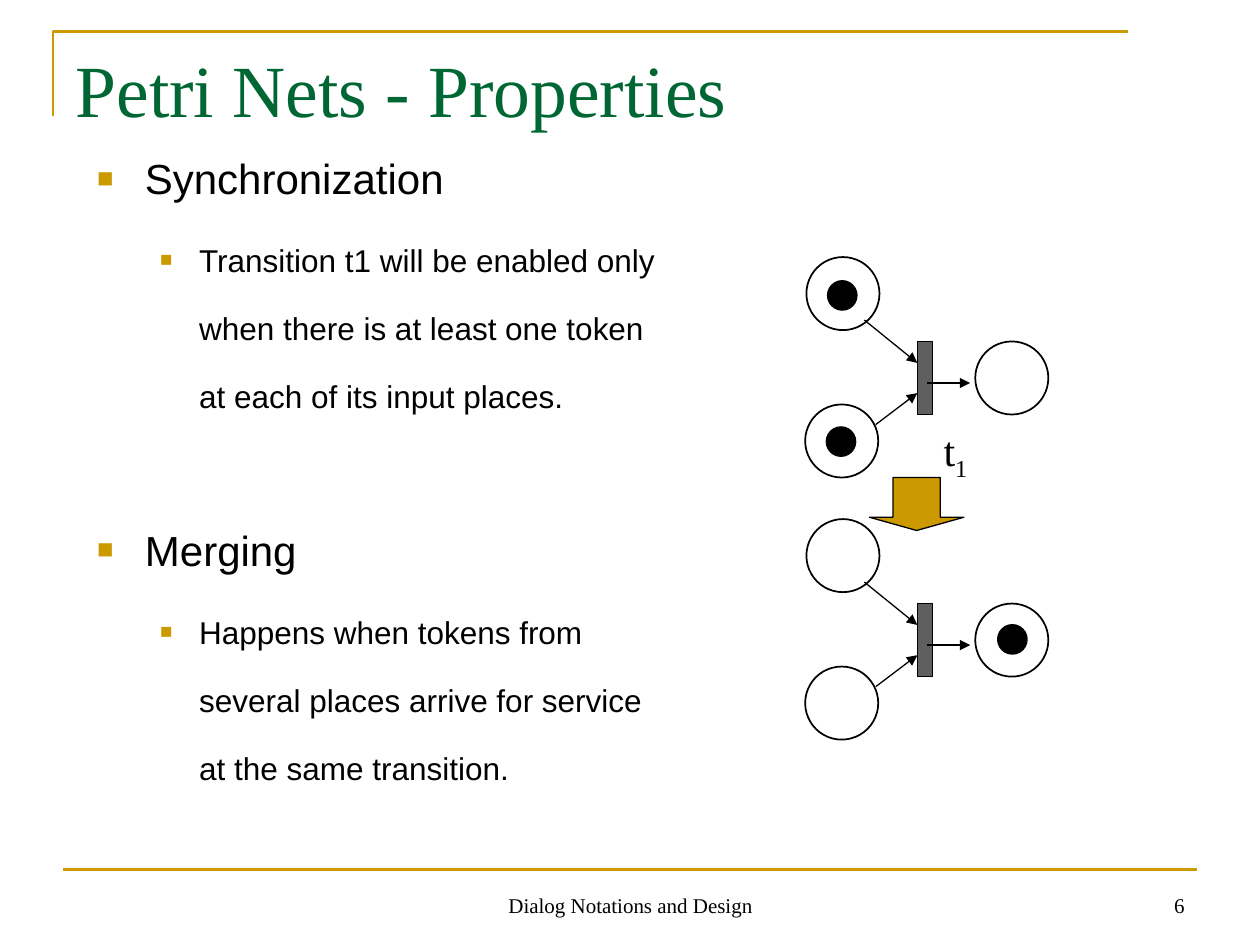
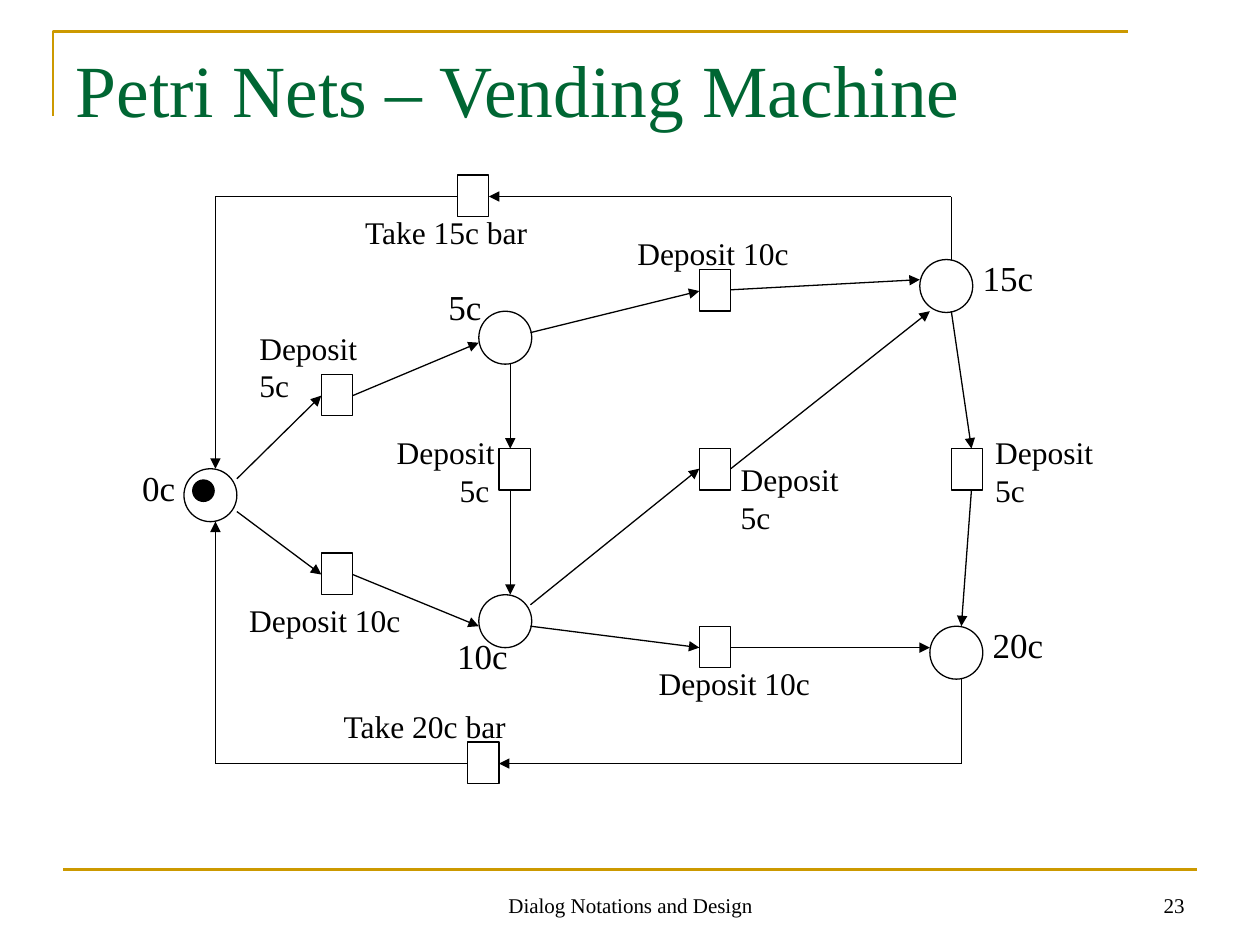
import pptx
import pptx.util
import pptx.dml.color
import pptx.enum.shapes
import pptx.enum.text
import pptx.oxml
import pptx.oxml.ns
from lxml import etree

# ---------- Shared look (all positions are in inches) ----------
GOLD, GREEN, BLACK, GREY = "CC9900", "006633", "000000", "5F5F5F"
SERIF, SANS = "Times New Roman", "Arial"
FOOTER = "Dialog Notations and Design"
SHAPES = pptx.enum.shapes.MSO_SHAPE
ALIGN = pptx.enum.text.PP_ALIGN
ANCHOR = pptx.enum.text.MSO_ANCHOR
TWO_CONTENT, TITLE_ONLY = 3, 5

# ---------- Slide 1: properties ----------
PROPERTIES = [
    ("Synchronization", "Transition t1 will be enabled only when there is "
     "at least one token at each of its input places."),
    ("Merging", "Happens when tokens from several places arrive for service "
     "at the same transition."),
]
PROPERTY_TOPS = [0.84, 3.79]
PLACE, TOKEN = 0.58, 0.23
NET_PLACES = [(6.4, 2.04), (6.39, 3.21), (7.74, 2.71)]
NET_ARROWS = [((6.86, 2.54), (7.28, 2.88)), ((6.95, 3.37), (7.28, 3.12)),
              ((7.36, 3.04), (7.7, 3.04))]
NET_BAR = (7.28, 2.71, 0.12, 0.58)
# vertical shift of each net, and the tokens it holds
NETS = [(0, [(6.57, 2.23), (6.56, 3.39)]), (2.08, [(7.92, 2.88)])]

# ---------- Slide 2: vending machine ----------
STATE = 0.42
STEP_WIDTH, STEP_HEIGHT = 0.25, 0.33
STATES = [(1.46, 3.72), (3.8, 2.47), (3.8, 4.72), (7.3, 2.06), (7.38, 4.97)]
STEPS = [(2.55, 2.97), (2.55, 4.39), (3.96, 3.56), (5.55, 2.14), (5.55, 3.56),
         (5.55, 4.97), (7.55, 3.56), (3.63, 1.39), (3.71, 5.89)]
MACHINE_ARROWS = [
    # from 0c
    ((1.88, 3.8), (2.55, 3.14)), ((2.8, 3.14), (3.8, 2.72)),
    ((1.88, 4.06), (2.55, 4.56)), ((2.8, 4.56), (3.8, 4.97)),
    # from 5c
    ((4.21, 2.64), (5.55, 2.31)), ((5.8, 2.3), (7.3, 2.22)),
    ((4.05, 2.89), (4.05, 3.56)), ((4.05, 3.89), (4.05, 4.72)),
    # from 10c
    ((4.21, 4.8), (5.55, 3.72)), ((5.8, 3.72), (7.38, 2.47)),
    ((4.21, 4.97), (5.55, 5.14)), ((5.8, 5.14), (7.38, 5.14)),
    # from 15c to 20c
    ((7.55, 2.47), (7.71, 3.56)), ((7.71, 3.89), (7.63, 4.97)),
    # back to 0c
    ((7.55, 1.56), (3.88, 1.56)), ((1.71, 1.56), (1.71, 3.72)),
    ((7.63, 6.06), (3.96, 6.06)), ((1.71, 6.06), (1.71, 4.14)),
]
MACHINE_LINES = [
    ((7.55, 2.06), (7.55, 1.56)), ((3.63, 1.56), (1.71, 1.56)),
    ((7.63, 5.39), (7.63, 6.06)), ((3.71, 6.06), (1.71, 6.06)),
]
STATE_LABELS = [("0c", 1.03, 3.65, 0.46), ("5c", 3.46, 2.22, 0.46),
                ("10c", 3.53, 4.99, 0.6), ("15c", 7.7, 1.99, 0.6),
                ("20c", 7.78, 4.9, 0.6)]
STEP_LABELS = [("Take 15c bar", 2.8, 1.64, 1.5), ("Take 20c bar", 2.63, 5.56, 1.5),
               ("Deposit 5c", 1.96, 2.56, 1.27), ("Deposit 10c", 1.88, 4.72, 1.4),
               ("Deposit 10c", 4.96, 1.81, 1.4), ("Deposit 10c", 5.13, 5.22, 1.4)]
# left, top and indent of the second line
TWO_LINE_LABELS = [(3.05, 3.39, 0.5), (5.78, 3.6, 0), (7.8, 3.39, 0)]


# ---------- Helpers ----------
def length(inches):
    return pptx.util.Cm(inches * 2.54)


def lengths(values):
    return [length(value) for value in values]


def color(value):
    return pptx.dml.color.RGBColor.from_string(value)


def add_run(paragraph, text, size, font=SERIF, text_color=BLACK):
    run = paragraph.add_run()
    run.text = text
    run.font.size = pptx.util.Pt(size)
    run.font.name = font
    run.font.color.rgb = color(text_color)
    return run


def add_text(slide, text, box, size, align=ALIGN.LEFT, anchor=ANCHOR.TOP, wrap=False):
    frame = slide.shapes.add_textbox(*lengths(box)).text_frame
    frame.word_wrap = wrap
    frame.vertical_anchor = anchor
    paragraph = frame.paragraphs[0]
    paragraph.alignment = align
    add_run(paragraph, text, size)
    return frame


def style_shape(shape, fill=None, line=BLACK, width=0.75):
    shape.shadow.inherit = False
    if fill:
        shape.fill.solid()
        shape.fill.fore_color.rgb = color(fill)
    else:
        shape.fill.background()
    shape.line.color.rgb = color(line)
    shape.line.width = pptx.util.Pt(width)


def add_shape(slide, kind, box, fill=None, width=0.75):
    shape = slide.shapes.add_shape(kind, *lengths(box))
    style_shape(shape, fill, width=width)
    return shape


def add_circle(slide, corner, size, fill=None, width=0.75):
    add_shape(slide, SHAPES.OVAL, (*corner, size, size), fill, width)


def add_line(slide, start, end, arrow=False, line=BLACK, width=0.75):
    connector = slide.shapes.add_connector(
        pptx.enum.shapes.MSO_CONNECTOR.STRAIGHT, *lengths((*start, *end)))
    connector.line.color.rgb = color(line)
    connector.line.width = pptx.util.Pt(width)
    if arrow:
        etree.SubElement(connector.line._get_or_add_ln(),
                         pptx.oxml.ns.qn("a:tailEnd"), type="triangle")
    etree.SubElement(connector._element.spPr, pptx.oxml.ns.qn("a:effectLst"))


def place(shape, box):
    shape.left, shape.top, shape.width, shape.height = lengths(box)
    frame = shape.text_frame
    frame.auto_size = pptx.enum.text.MSO_AUTO_SIZE.NONE
    frame.vertical_anchor = ANCHOR.TOP
    frame.word_wrap = True
    return frame


def set_indent(paragraph, left, first=0):
    properties = paragraph._p.get_or_add_pPr()
    properties.set("marL", str(length(left)))
    properties.set("indent", str(length(first)))
    return properties


def add_bullet(paragraph, left, first):
    properties = set_indent(paragraph, left, first)
    bullet_color = etree.SubElement(properties, pptx.oxml.ns.qn("a:buClr"))
    etree.SubElement(bullet_color, pptx.oxml.ns.qn("a:srgbClr"), val=GOLD)
    etree.SubElement(properties, pptx.oxml.ns.qn("a:buSzPct"), val="65000")
    etree.SubElement(properties, pptx.oxml.ns.qn("a:buFont"), typeface=SANS)
    etree.SubElement(properties, pptx.oxml.ns.qn("a:buChar"), char="■")


def start_slide(presentation, layout, title, number):
    slide = presentation.slides.add_slide(presentation.slide_layouts[layout])
    # gold corner and footer rule
    builder = slide.shapes.build_freeform(length(0.42), length(0.92))
    builder.add_line_segments([lengths((0.42, 0.25)), lengths((8.95, 0.25))], close=False)
    style_shape(builder.convert_to_shape(), line=GOLD, width=1.5)
    add_line(slide, (0.5, 6.9), (9.5, 6.9), line=GOLD, width=1.5)
    # title
    paragraph = place(slide.shapes.title, (0.5, 0.3, 9, 1.25)).paragraphs[0]
    paragraph.alignment = ALIGN.LEFT
    add_run(paragraph, title, 42, text_color=GREEN)
    # footer
    add_text(slide, FOOTER, (3.42, 6.83, 3.17, 0.5), 12, ALIGN.CENTER, ANCHOR.BOTTOM, True)
    add_text(slide, str(number), (7.17, 6.83, 2.33, 0.5), 12, ALIGN.RIGHT, ANCHOR.BOTTOM, True)
    return slide


# ---------- Slides ----------
def build_properties(presentation):
    slide = start_slide(presentation, TWO_CONTENT, "Petri Nets - Properties", 6)
    bodies = list(slide.placeholders)[1:]
    for body, top, (heading, detail) in zip(bodies, PROPERTY_TOPS, PROPERTIES):
        frame = place(body, (0.67, top, 4.73, 3))
        rows = [(frame.paragraphs[0], heading, 24, 0.38, -0.38, 0),
                (frame.add_paragraph(), detail, 18, 0.81, -0.31, 4.5)]
        for level, (paragraph, text, size, left, first, before) in enumerate(rows):
            add_bullet(paragraph, left, first)
            paragraph.level = level
            paragraph.line_spacing = 1.8
            paragraph.space_before = pptx.util.Pt(before)
            add_run(paragraph, text, size, SANS)

    # the net before and after firing
    for shift, tokens in NETS:
        for left, top in NET_PLACES:
            add_circle(slide, (left, top + shift), PLACE, width=1)
        for left, top in tokens:
            add_circle(slide, (left, top + shift), TOKEN, BLACK, 1)
        left, top, width, height = NET_BAR
        add_shape(slide, SHAPES.RECTANGLE, (left, top + shift, width, height), GREY)
        for (x1, y1), (x2, y2) in NET_ARROWS:
            add_line(slide, (x1, y1 + shift), (x2, y2 + shift), arrow=True)
    add_shape(slide, SHAPES.DOWN_ARROW, (6.9, 3.79, 0.75, 0.42), GOLD).adjustments[1] = 0.25
    label = add_text(slide, "t", (7.39, 3.32, 0.4, 0.5), 24)
    subscript = add_run(label.paragraphs[0], "1", 24)
    subscript.font._element.set("baseline", "-25000")


def build_machine(presentation):
    slide = start_slide(presentation, TITLE_ONLY, "Petri Nets – Vending Machine", 23)
    for corner in STATES:
        add_circle(slide, corner, STATE)
    add_circle(slide, (1.53, 3.81), 0.17, BLACK)
    for corner in STEPS:
        add_shape(slide, SHAPES.RECTANGLE, (*corner, STEP_WIDTH, STEP_HEIGHT))
    for start, end in MACHINE_ARROWS:
        add_line(slide, start, end, arrow=True)
    for start, end in MACHINE_LINES:
        add_line(slide, start, end)

    # labels
    for labels, size, height in [(STATE_LABELS, 20, 0.44), (STEP_LABELS, 18, 0.4)]:
        for text, left, top, width in labels:
            add_text(slide, text, (left, top, width, height), size)
    for left, top, indent in TWO_LINE_LABELS:
        frame = add_text(slide, "Deposit", (left, top, 0.98, 0.7), 18)
        amount = frame.add_paragraph()
        set_indent(amount, indent)
        add_run(amount, "5c", 18)


def main():
    presentation = pptx.Presentation()
    presentation.slide_width, presentation.slide_height = lengths((10, 7.5))
    build_properties(presentation)
    build_machine(presentation)
    presentation.save("out.pptx")


if __name__ == "__main__":
    main()
